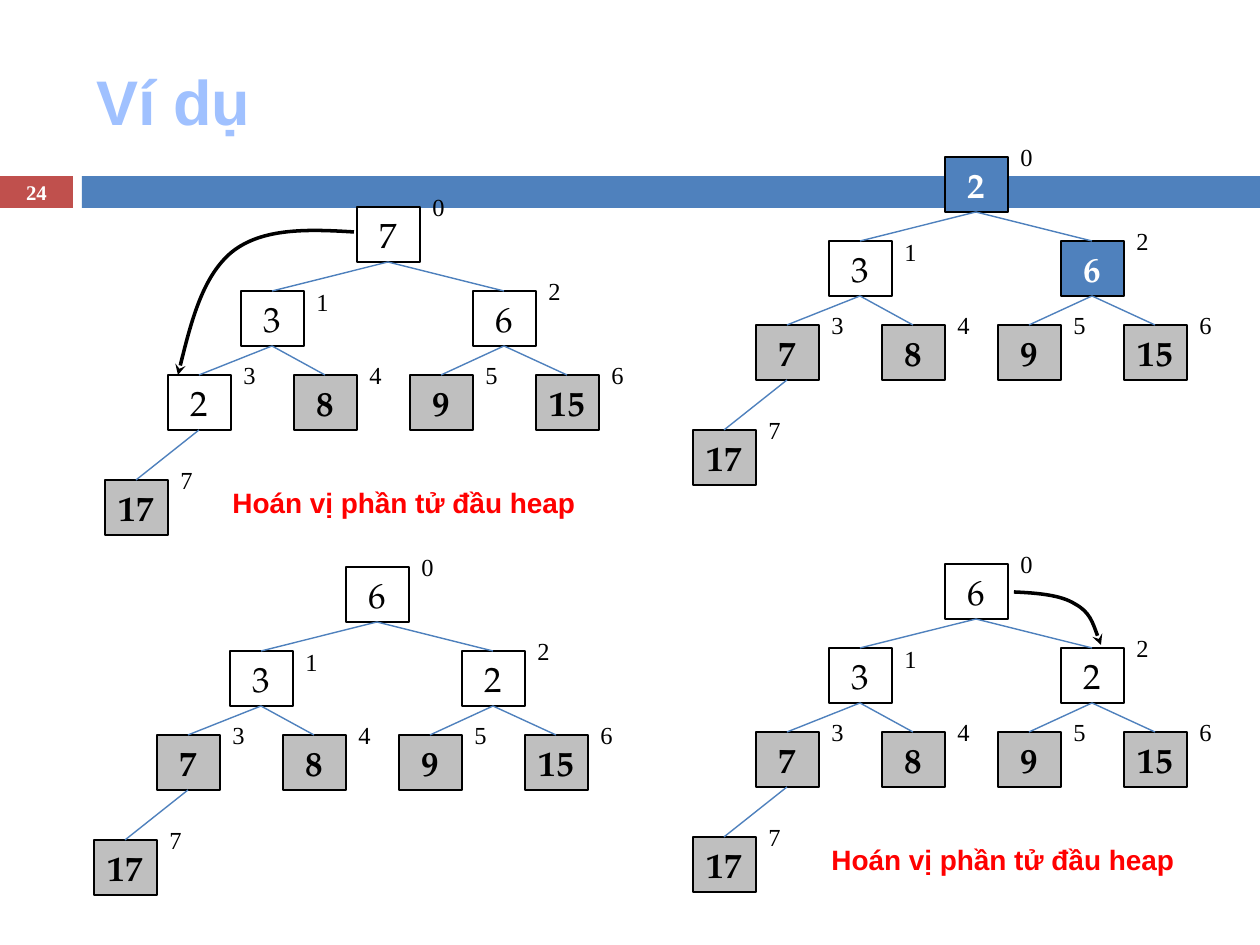
from dataclasses import dataclass
from lxml.etree import SubElement
from pptx import Presentation
from pptx.dml.color import RGBColor
from pptx.enum.shapes import MSO_CONNECTOR, MSO_SHAPE
from pptx.enum.text import MSO_ANCHOR as Anchor, MSO_AUTO_SIZE as AutoSize, PP_ALIGN as Align
from pptx.oxml.ns import qn
from pptx.util import Emu, Pt

COLORS = {"blue": "4F81BD", "red_bar": "C0504D", "gray": "BFBFBF", "black": "000000",
          "white": "FFFFFF", "red": "FF0000", "outline": "467AB8"}
TITLE_STOPS = [(0, "BFD3F9"), (9, "A0C1FF"), (50, "003D85"), (79, "A0C1FF"), (100, "BFD3F9")]
SERIF, NODE_FONT, SANS = "Times New Roman", "TeX Gyre Pagella", "Arial"

# Heap nodes by index: offsets from the root
OFFSETS = [(0, 0), (-116, 84), (116, 84), (-189, 168), (-63, 168), (53, 168), (179, 168),
           (-252, 273)]
NODE_W, NODE_H = 63, 55


@dataclass
class Heap:
    x: int
    y: int
    values: list[int]
    fills: list[str | None]


@dataclass
class Label:
    text: str
    font: str
    size: float
    color: str = "black"
    bold: bool = False
    align: Align = Align.LEFT


HEAPS = [
    Heap(357, 207, [7, 3, 6, 2, 8, 9, 15, 17], [None] * 4 + ["gray"] * 4),
    Heap(945, 157, [2, 3, 6, 7, 8, 9, 15, 17], ["blue", None, "blue"] + ["gray"] * 5),
    Heap(346, 567, [6, 3, 2, 7, 8, 9, 15, 17], [None] * 3 + ["gray"] * 5),
    Heap(945, 564, [6, 3, 2, 7, 8, 9, 15, 17], [None] * 3 + ["gray"] * 5),
]
# Swap arrows: a start point, then three points for each Bézier segment
SWAPS = [
    [(354, 232), (307, 229), (262, 228), (232, 252), (203, 276), (190, 326), (178, 375)],
    [(1014, 592), (1037, 593), (1061, 595), (1075, 604), (1090, 612), (1095, 629), (1101, 645)],
]


def px(value: int) -> Emu:
    return Emu(round(value * 914400 / 126))


def rgb(name: str) -> RGBColor:
    return RGBColor.from_string(COLORS[name])


def write(box, label: Label) -> None:
    para = box.text_frame.paragraphs[0]
    para.alignment = label.align
    span = para.add_run()
    span.text = label.text
    span.font.name, span.font.size, span.font.bold = label.font, Pt(label.size), label.bold
    span.font.color.rgb = rgb(label.color)


def add_text(page, x: int, y: int, w: int, h: int, label: Label):
    box = page.shapes.add_textbox(px(x), px(y), px(w), px(h))
    box.text_frame.word_wrap = True
    write(box, label)
    return box


def add_rect(page, x: int, y: int, w: int, h: int, fill: str | None, line: str | None = None):
    box = page.shapes.add_shape(MSO_SHAPE.RECTANGLE, px(x), px(y), px(w), px(h))
    box.shadow.inherit = False
    if fill:
        box.fill.solid()
        box.fill.fore_color.rgb = rgb(fill)
    else:
        box.fill.background()
    if line:
        box.line.color.rgb, box.line.width = rgb(line), Pt(0.75)
    else:
        box.line.fill.background()
    return box


def add_node(page, x: int, y: int, value: int, fill: str | None) -> None:
    box = add_rect(page, x, y, NODE_W, NODE_H, fill, "black")
    frame = box.text_frame
    frame.margin_left = frame.margin_right = 0
    frame.vertical_anchor = Anchor.TOP
    frame.auto_size = AutoSize.SHAPE_TO_FIT_TEXT
    color = "white" if fill == "blue" else "black"
    write(box, Label(str(value), NODE_FONT, 20, color, fill is not None, Align.CENTER))


def add_edge(page, x1: int, y1: int, x2: int, y2: int) -> None:
    edge = page.shapes.add_connector(MSO_CONNECTOR.STRAIGHT, px(x1), px(y1), px(x2), px(y2))
    edge.line.color.rgb, edge.line.width = rgb("blue"), Pt(0.79)
    SubElement(edge._element.spPr, qn("a:effectLst"))


def add_heap(page, heap: Heap) -> None:
    spots = [(heap.x + dx, heap.y + dy) for dx, dy in OFFSETS]
    for (x, y), value, fill in zip(spots, heap.values, heap.fills):
        add_node(page, x, y, value, fill)
    for index, (x, y) in enumerate(spots):
        if index:
            parent_x, parent_y = spots[(index - 1) // 2]
            add_edge(page, parent_x + NODE_W // 2, parent_y + NODE_H, x + NODE_W // 2, y)
        rise = 10 if index == 1 else 21
        add_text(page, x + NODE_W, y - rise, 31, 43, Label(str(index), SERIF, 14))


def add_swap(page, points: list[tuple[int, int]]) -> None:
    start, *rest = [(px(x), px(y)) for x, y in points]
    builder = page.shapes.build_freeform(*start)
    builder.add_line_segments(rest, close=False)
    curve = builder.convert_to_shape()
    curve.shadow.inherit = False
    curve.fill.background()
    curve.line.color.rgb, curve.line.width = rgb("black"), Pt(2)
    # Turn each three line steps into one cubic segment
    outline = next(curve._element.iter(qn("a:path")))
    steps = outline.findall(qn("a:lnTo"))
    for first in range(0, len(steps), 3):
        cubic = SubElement(outline, qn("a:cubicBezTo"))
        for step in steps[first:first + 3]:
            cubic.append(step[0])
            outline.remove(step)
    SubElement(curve.line._get_or_add_ln(), qn("a:tailEnd"), type="stealth")


def add_title(page, text: str) -> None:
    title = page.shapes.title
    title.left, title.top, title.width, title.height = px(84), px(32), px(1124), px(136)
    title.text_frame.vertical_anchor = Anchor.MIDDLE
    para = title.text_frame.paragraphs[0]
    para.alignment = Align.LEFT
    span = para.add_run()
    span.text = text
    span.font.size, span.font.bold = Pt(36), True
    # Text outline and gradient
    props = span.font._element
    line = SubElement(props, qn("a:ln"), w=str(Pt(0.83)))
    solid = SubElement(line, qn("a:solidFill"))
    SubElement(solid, qn("a:srgbClr"), val=COLORS["outline"])
    gradient = SubElement(props, qn("a:gradFill"))
    stops = SubElement(gradient, qn("a:gsLst"))
    for percent, color in TITLE_STOPS:
        stop = SubElement(stops, qn("a:gs"), pos=str(percent * 1000))
        SubElement(stop, qn("a:srgbClr"), val=color)
    SubElement(gradient, qn("a:lin"), ang="5400000")
    span.font.name = SANS


def main() -> None:
    deck = Presentation()
    deck.slide_width, deck.slide_height = px(1260), px(945)
    page = deck.slides.add_slide(deck.slide_layouts[5])

    # Header
    add_rect(page, 0, 176, 73, 32, "red_bar")
    add_rect(page, 82, 176, 1178, 32, "blue")
    add_title(page, "Ví dụ")

    # Heaps, swap arrows and captions
    for heap in HEAPS:
        add_heap(page, heap)
    for points in SWAPS:
        add_swap(page, points)
    for x, y in [(220, 479), (819, 836)]:
        add_text(page, x, y, 410, 47, Label("Hoán vị phần tử đầu heap", SANS, 16, "red", True))

    # Page number
    number = add_text(page, 0, 175, 73, 34, Label("24", SERIF, 11.9, "white", True, Align.CENTER))
    number.text_frame.vertical_anchor = Anchor.MIDDLE

    deck.save("out.pptx")


if __name__ == "__main__":
    main()
